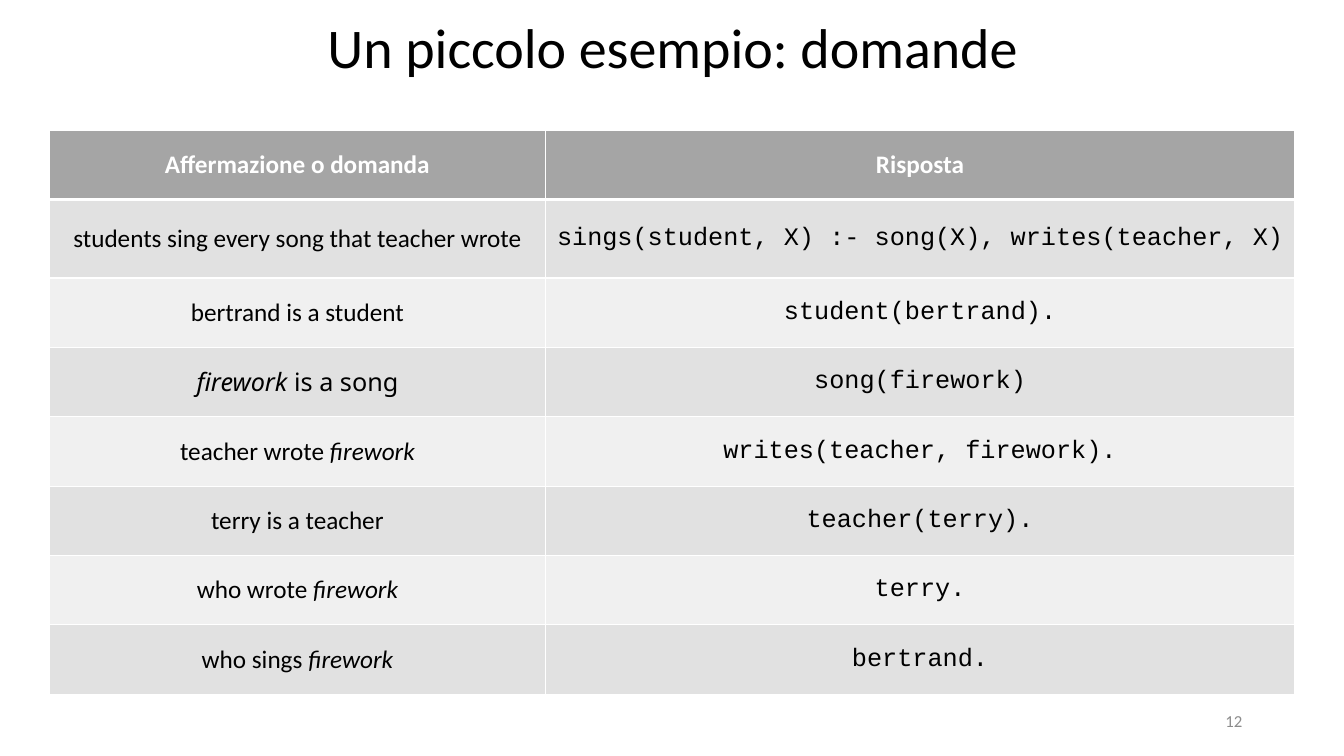
from dataclasses import dataclass

from lxml import etree
from pptx import Presentation
from pptx import util as u
from pptx.dml.color import RGBColor
from pptx.enum import text
from pptx.oxml.ns import qn


@dataclass(frozen=True)
class Theme:
    """Colours, fonts and type sizes of the slide."""
    ink: str = "000000"
    white: str = "FFFFFF"
    muted: str = "8C8C8C"
    header: str = "A5A5A5"
    bands: tuple = ("E1E1E1", "F0F0F0")
    body: str = "Calibri"
    code: str = "Courier New"
    alt: str = "Noto Sans"
    title_pt: int = 40
    table_pt: int = 18
    number_pt: int = 12


T = Theme()
HEADINGS = ("Affermazione o domanda", "Risposta")
EXAMPLES = (
    ("students sing every song that teacher wrote",
     "sings(student, X) :- song(X), writes(teacher, X)", T.body),
    ("bertrand is a student", "student(bertrand).", T.body),
    ("*firework* is a song", "song(firework)", T.alt),
    ("teacher wrote *firework*", "writes(teacher, firework).", T.body),
    ("terry is a teacher", "teacher(terry).", T.body),
    ("who wrote *firework*", "terry.", T.body),
    ("who sings *firework*", "bertrand.", T.body),
)


def write(tf, content, size, color, font=T.body, align="CENTER", bold=False):
    """Fill a text frame with one paragraph; asterisks enclose italics."""
    p = tf.paragraphs[0]
    p.alignment = text.PP_ALIGN[align]
    p.font.size, p.font.name, p.font.bold = u.Pt(size), font, bold
    p.font.color.rgb = RGBColor.from_string(color)
    for i, part in enumerate(content.split("*")):
        if part:
            r = p.add_run()
            r.text = part
            if i % 2:
                r.font.italic = True
    return p


def add_text(slide, box, content, size, color, anchor="TOP", align="CENTER"):
    """Add a wrapping text box and return its paragraph."""
    tf = slide.shapes.add_textbox(*map(u.Inches, box)).text_frame
    tf.word_wrap = True
    tf.vertical_anchor = text.MSO_ANCHOR[anchor]
    return write(tf, content, size, color, align=align)


def set_borders(cell, **widths):
    """Draw white cell borders with the given point widths."""
    tc_pr = cell._tc.get_or_add_tcPr()
    for side, width in widths.items():
        ln = etree.SubElement(tc_pr, qn(f"a:ln{side}"), w=str(u.Pt(width)))
        fill = etree.SubElement(ln, qn("a:solidFill"))
        etree.SubElement(fill, qn("a:srgbClr"), val=T.white)


def style_cell(cell, fill, top, bottom):
    """Set the borders, fill and anchor of a cell."""
    set_borders(cell, L=1, R=1, T=top, B=bottom)
    cell.fill.solid()
    cell.fill.fore_color.rgb = RGBColor.from_string(fill)
    cell.vertical_anchor = text.MSO_ANCHOR.MIDDLE


def add_examples(slide, box):
    """Add the table of statements and answers within the box."""
    left, top, width, height = box
    table = slide.shapes.add_table(
        len(EXAMPLES) + 1, 2, *map(u.Inches, box)).table
    table.first_row = table.horz_banding = False
    first_col, tall_row = 4.92, 0.78
    table.columns[0].width = u.Inches(first_col)
    table.columns[1].width = u.Inches(width - first_col)
    for i, row in enumerate(table.rows):
        row.height = u.Inches(
            tall_row if i == 1 else (height - tall_row) / len(EXAMPLES))
    for cell, heading in zip(table.rows[0].cells, HEADINGS):
        style_cell(cell, T.header, 1, 3)
        write(cell.text_frame, heading, T.table_pt, T.white, bold=True)
    for i, (statement, answer, font) in enumerate(EXAMPLES):
        entries = ((statement, font), (answer, T.code))
        for cell, (entry, face) in zip(table.rows[i + 1].cells, entries):
            style_cell(cell, T.bands[i % 2], 1 if i else 3, 1)
            write(cell.text_frame, entry, T.table_pt, T.ink, face)


def build_slide(prs):
    """Build the slide of example questions."""
    slide = prs.slides.add_slide(prs.slide_layouts[6])
    add_text(slide, (9.42, 6.95, 3, 0.4), "12", T.number_pt, T.muted,
             "MIDDLE", "RIGHT")
    title = add_text(slide, (0.92, 0.15, 11.5, 0.75),
                     "Un piccolo esempio: domande", T.title_pt, T.ink)
    title.line_spacing = 0.9
    add_examples(slide, (0.49, 1.29, 12.35, 5.6))


prs = Presentation()
prs.slide_width, prs.slide_height = u.Inches(13.33), u.Inches(7.5)
build_slide(prs)
prs.save("out.pptx")
